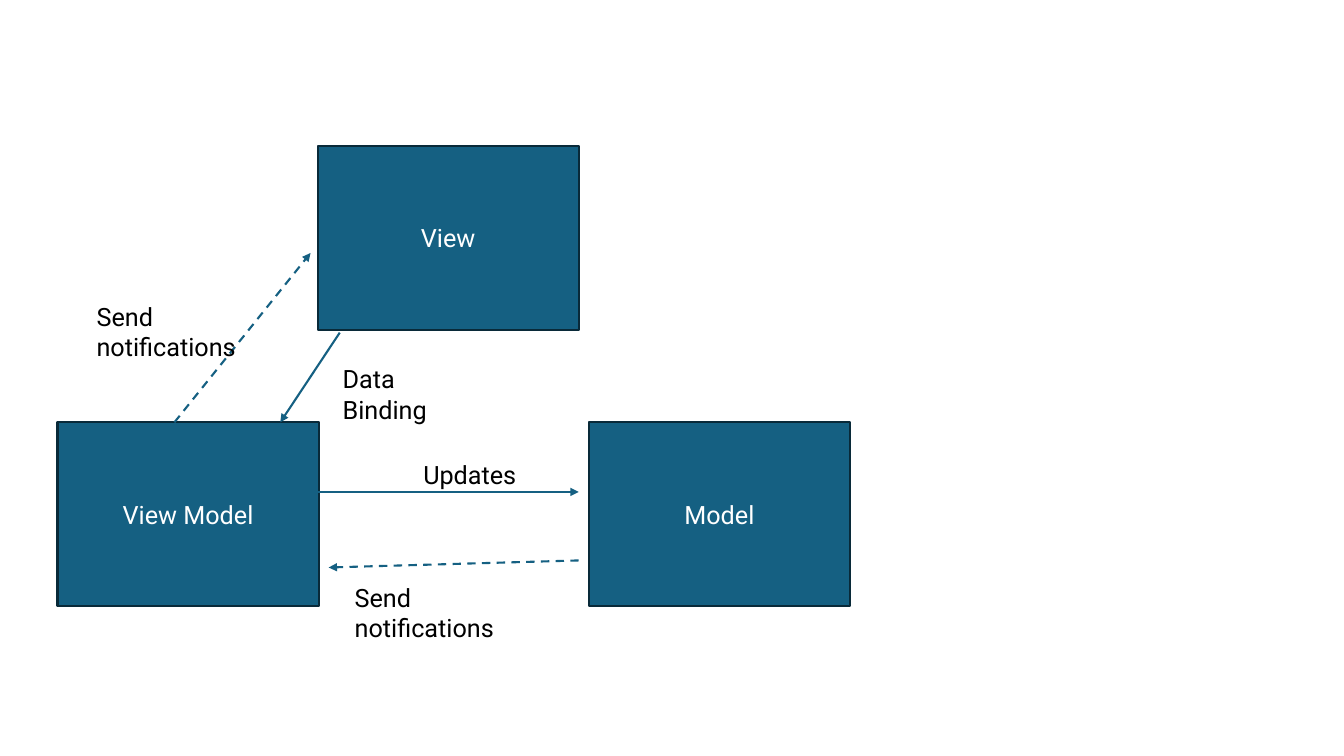
from dataclasses import dataclass

from lxml import etree
from pptx import Presentation
from pptx.dml.color import RGBColor
from pptx.enum.dml import MSO_LINE
from pptx.enum.shapes import MSO_CONNECTOR, MSO_SHAPE
from pptx.enum.text import MSO_ANCHOR, PP_ALIGN
from pptx.oxml.ns import qn
from pptx.util import Inches, Pt

RECT = MSO_SHAPE.RECTANGLE
STRAIGHT = MSO_CONNECTOR.STRAIGHT
DASH = MSO_LINE.DASH
MIDDLE, TOP = MSO_ANCHOR.MIDDLE, MSO_ANCHOR.TOP
CENTER, LEFT = PP_ALIGN.CENTER, PP_ALIGN.LEFT


@dataclass(frozen=True)
class Theme:
    font: str = "Roboto"
    size: Pt = Pt(18)
    line: Pt = Pt(1.5)
    blue: RGBColor = RGBColor(0x15, 0x60, 0x82)
    outline: RGBColor = RGBColor(0x09, 0x2A, 0x39)
    white: RGBColor = RGBColor(0xFF, 0xFF, 0xFF)
    black: RGBColor = RGBColor(0, 0, 0)


THEME = Theme()
BOX_W, BOX_H = 2.59, 1.82
ROW_TOP = 4.19


def write(sp, text, color, align, anchor):
    tf = sp.text_frame
    tf.word_wrap = True
    tf.vertical_anchor = anchor
    p = tf.paragraphs[0]
    p.text = text
    p.alignment = align
    for r in p.runs:
        for name, value in {"name": THEME.font, "size": THEME.size}.items():
            setattr(r.font, name, value)
        r.font.color.rgb = color


prs = Presentation()
prs.slide_width, prs.slide_height = Inches(13.33), Inches(7.5)
s = prs.slides.add_slide(prs.slide_layouts[6])

boxes = [
    ("View", 3.15, 1.45),
    ("View Model", 0.57, ROW_TOP),
    ("Model", 5.84, ROW_TOP),
]
for text, x, y in boxes:
    sp = s.shapes.add_shape(RECT, Inches(x), Inches(y), Inches(BOX_W), Inches(BOX_H))
    sp.shadow.inherit = False
    sp.fill.solid()
    sp.fill.fore_color.rgb = THEME.blue
    sp.line.color.rgb = THEME.outline
    sp.line.width = THEME.line
    write(sp, text, THEME.white, CENTER, MIDDLE)

# Arrow start and end, dash style, then label text, left, top, width and height
messages = [
    ((3.15, 4.88, 5.74, 4.88), None, "Updates", (4.1, 4.51, 1.17, 0.4)),
    ((3.37, 3.3, 2.78, ROW_TOP), None, "Data\vBinding", (3.3, 3.56, 1.59, 0.7)),
    ((1.73, ROW_TOP, 3.08, 2.51), DASH, "Send\vnotifications", (0.86, 2.94, 2.17, 0.7)),
    ((5.74, 5.56, 3.26, 5.63), DASH, "Send\vnotifications", (3.42, 5.73, 2.17, 0.7)),
]
for ends, dash, text, area in messages:
    arrow = s.shapes.add_connector(STRAIGHT, *map(Inches, ends))
    arrow.line.color.rgb = THEME.blue
    arrow.line.width = THEME.line
    if dash:
        arrow.line.dash_style = dash
    etree.SubElement(arrow.line._get_or_add_ln(), qn("a:tailEnd"), type="triangle")
    etree.SubElement(arrow._element.spPr, qn("a:effectLst"))
    label = s.shapes.add_textbox(*map(Inches, area))
    write(label, text, THEME.black, LEFT, TOP)

prs.save("out.pptx")
